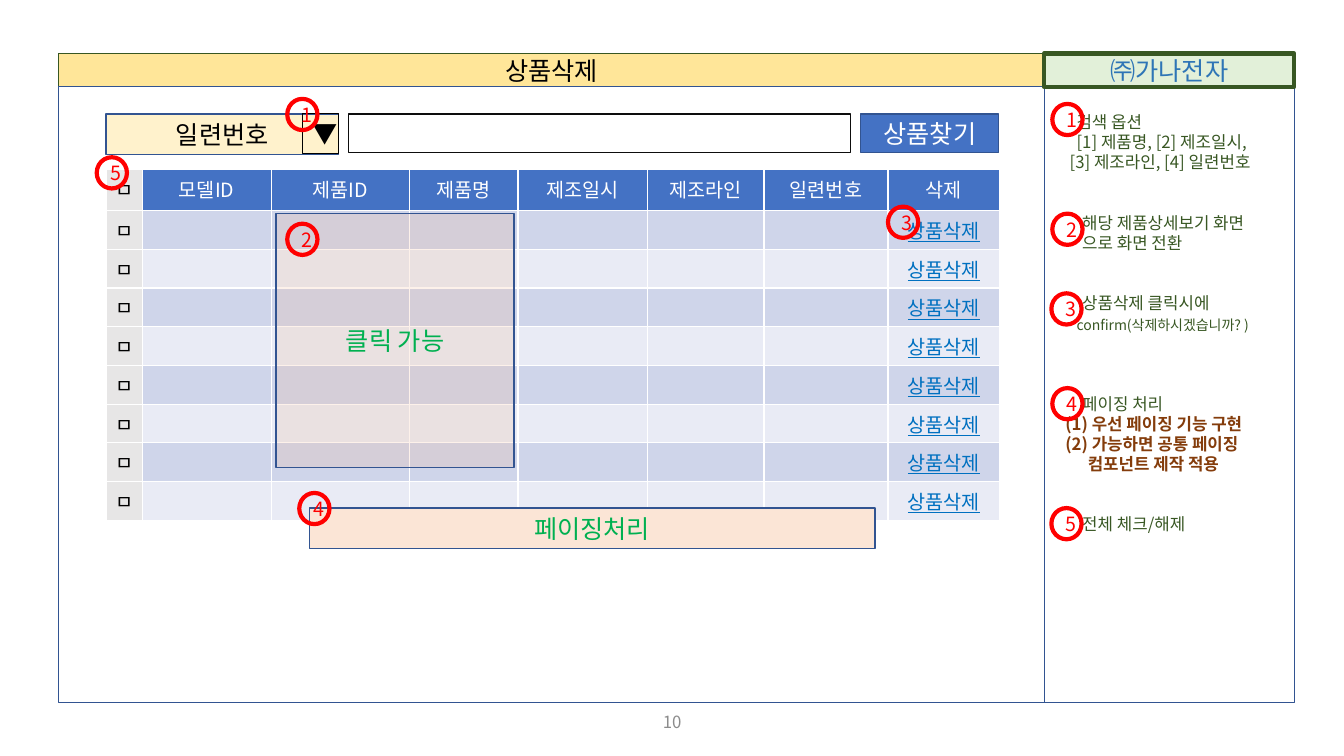
from dataclasses import dataclass
from typing import Optional

from lxml import etree
from pptx import Presentation
from pptx.dml.color import RGBColor
from pptx.enum import shapes, text
from pptx.oxml import ns
from pptx.util import Pt

FONT = "Noto Sans CJK KR"
BLACK = RGBColor(0x00, 0x00, 0x00)
WHITE = RGBColor(0xFF, 0xFF, 0xFF)
INK = RGBColor(0x0D, 0x0D, 0x0D)
GREY = RGBColor(0x8C, 0x8C, 0x8C)
RED = RGBColor(0xFF, 0x00, 0x00)
NAVY = RGBColor(0x32, 0x54, 0x91)
BLUE = RGBColor(0x44, 0x72, 0xC4)
SKY = RGBColor(0x2E, 0x75, 0xB6)
LINK = RGBColor(0x00, 0x70, 0xC0)
GREEN = RGBColor(0x00, 0xB0, 0x50)
FOREST = RGBColor(0x38, 0x57, 0x23)
BROWN = RGBColor(0x84, 0x3C, 0x0B)
GOLD = RGBColor(0xFF, 0xE6, 0x99)
CREAM = RGBColor(0xFF, 0xF2, 0xCC)
MINT = RGBColor(0xE2, 0xF0, 0xD9)
PEACH = RGBColor(0xFB, 0xE5, 0xD6)
ORANGE = RGBColor(0xF4, 0xB1, 0x83)
CHECK_GREY = RGBColor(0xE7, 0xE6, 0xE6)
BANDS = (RGBColor(0xCF, 0xD5, 0xEA), RGBColor(0xE9, 0xEB, 0xF5))


@dataclass
class Panel:
    left: float
    top: float
    width: float
    height: float
    label: str = ""
    color: RGBColor = BLACK
    fill: Optional[RGBColor] = None
    line: RGBColor = NAVY
    weight: float = 1
    opacity: int = 100
    kind: shapes.MSO_SHAPE = shapes.MSO_SHAPE.RECTANGLE
    size: float = 18
    inset_left: float = 0


@dataclass
class Note:
    label: str
    indent: float
    lines_before: int = 0
    size: float = 12
    color: RGBColor = FOREST
    bold: bool = False


def add_span(para, label: str, size: float, color: RGBColor, bold: bool = False,
             underline: bool = False) -> None:
    span = para.add_run()
    span.text = label
    span.font.name = FONT
    span.font.size = Pt(size)
    span.font.bold = bold
    span.font.underline = underline
    span.font.color.rgb = color
    east_asian = etree.SubElement(span.font._element, ns.qn("a:ea"))
    east_asian.set("typeface", FONT)


def format_box(box, panel: Panel) -> None:
    box.left, box.top = Pt(panel.left), Pt(panel.top)
    box.width, box.height = Pt(panel.width), Pt(panel.height)
    if panel.fill is None:
        box.fill.background()
    else:
        box.fill.solid()
        box.fill.fore_color.rgb = panel.fill
        if panel.opacity < 100:
            tint = box._element.spPr.find(".//" + ns.qn("a:srgbClr"))
            etree.SubElement(tint, ns.qn("a:alpha")).set("val", str(panel.opacity * 1000))
    box.line.color.rgb = panel.line
    box.line.width = Pt(panel.weight)
    frame = box.text_frame
    frame.auto_size = text.MSO_AUTO_SIZE.NONE
    frame.word_wrap = True
    frame.vertical_anchor = text.MSO_ANCHOR.MIDDLE
    frame.margin_left = Pt(panel.inset_left)
    frame.margin_right = frame.margin_top = frame.margin_bottom = 0
    if panel.label:
        para = frame.paragraphs[0]
        para.alignment = text.PP_ALIGN.CENTER
        add_span(para, panel.label, panel.size, panel.color)


def add_panel(page, panel: Panel):
    box = page.shapes.add_shape(panel.kind, 0, 0, 0, 0)
    box.shadow.inherit = False
    format_box(box, panel)
    return box


def add_marker(page, label: str, left: float, top: float) -> None:
    add_panel(page, Panel(left, top, 21.6, 22.3, label, RED, None, RED, 3,
                          kind=shapes.MSO_SHAPE.OVAL, size=14, inset_left=6))


def add_notes_column(page, panel: Panel, notes: list[Note]) -> None:
    pitch = 14.36
    frame = add_panel(page, panel).text_frame
    frame.vertical_anchor = text.MSO_ANCHOR.TOP
    frame.margin_left, frame.margin_top = Pt(7.2), Pt(18)
    for index, note in enumerate(notes):
        para = frame.add_paragraph() if index else frame.paragraphs[0]
        para.alignment = text.PP_ALIGN.LEFT
        para.line_spacing = Pt(pitch)
        para.space_before = Pt(pitch * note.lines_before)
        para._p.get_or_add_pPr().set("marL", str(Pt(note.indent)))
        add_span(para, note.label, note.size, note.color, note.bold)


def fill_cell(cell, label: str, color: RGBColor, fill: RGBColor, underline: bool) -> None:
    cell.fill.solid()
    cell.fill.fore_color.rgb = fill
    cell.margin_left = cell.margin_right = Pt(3.6)
    para = cell.text_frame.paragraphs[0]
    para.alignment = text.PP_ALIGN.CENTER
    if label:
        add_span(para, label, 14, color, underline=underline)
    else:
        etree.SubElement(para._p, ns.qn("a:endParaRPr")).set("sz", "1400")


def add_product_table(page) -> None:
    headers = ["ㅁ", "모델ID", "제품ID", "제품명", "제조일시", "제조라인", "일련번호", "삭제"]
    widths = [25.2, 92.2, 98.6, 77.8, 92.2, 83.5, 88.6, 79.9]
    body = ["ㅁ"] + [""] * 6 + ["상품삭제"]
    rows = [headers] + [body] * 8
    table = page.shapes.add_table(len(rows), len(headers), Pt(76.3), Pt(121),
                                  Pt(sum(widths)), Pt(250)).table
    for column, width in zip(table.columns, widths):
        column.width = Pt(width)
    for r, labels in enumerate(rows):
        table.rows[r].height = Pt(27.6 if r else 29.5)
        for c, label in enumerate(labels):
            if c == 0:
                color, fill = BLACK, CHECK_GREY
            elif r == 0:
                color, fill = WHITE, BLUE
            else:
                color, fill = LINK, BANDS[(r - 1) % 2]
            fill_cell(table.cell(r, c), label, color, fill, r > 0 and c > 0)


NOTES = [
    Note("검색 옵션", 16),
    Note("[1] 제품명, [2] 제조일시,", 16),
    Note("[3] 제조라인, [4] 일련번호", 11),
    Note("해당 제품상세보기 화면", 20, 2),
    Note("으로 화면 전환", 20),
    Note("상품삭제 클릭시에", 20, 2),
    Note("confirm(삭제하시겠습니까? )", 16, size=10),
    Note("페이징 처리", 20, 3),
    Note("(1) 우선 페이징 기능 구현", 8, color=BROWN, bold=True),
    Note("(2) 가능하면 공통 페이징", 8, color=BROWN, bold=True),
    Note("컴포넌트 제작 적용", 24, color=BROWN, bold=True),
    Note("전체 체크/해제", 20, 2),
]
SEARCH_BAR = [
    Panel(614.9, 81.4, 98.6, 27.4, "상품찾기", WHITE, BLUE),
    Panel(249.1, 81.4, 358.6, 27.4, line=INK),
    Panel(75.6, 81.4, 166.3, 28.8, "일련번호", fill=CREAM),
    Panel(216, 81.4, 25.9, 28.1, "▼", line=BLACK, weight=0.75, inset_left=6),
]
CALLOUTS = [
    Panel(221, 362.9, 403.9, 28.8, "페이징처리", GREEN, PEACH),
    Panel(197.3, 152.6, 169.9, 181.4, "클릭 가능", GREEN, ORANGE, opacity=17),
]
MARKERS = [
    ("1", 751.7, 74.2), ("2", 751.7, 152.6), ("3", 751, 209.5), ("4", 751.7, 277.2),
    ("5", 751, 362.9), ("1", 205.2, 70.6), ("2", 205.2, 159.8), ("3", 634.3, 147.6),
    ("4", 213.8, 352.1), ("5", 69.1, 112.3),
]


def main() -> None:
    deck = Presentation()
    deck.slide_width, deck.slide_height = Pt(960), Pt(540)
    page = deck.slides.add_slide(deck.slide_layouts[5])

    # Title bar and frames
    format_box(page.shapes.title,
               Panel(41.8, 38.2, 704.2, 23.8, "상품삭제", fill=GOLD, line=FOREST))
    add_panel(page, Panel(41.8, 61.9, 704.2, 439.9))
    add_notes_column(page, Panel(745.9, 61.9, 178.6, 439.9), NOTES)
    add_panel(page, Panel(745.9, 38.2, 178.6, 23.8, "㈜가나전자", SKY, MINT, FOREST, 3))

    # Search bar, product table and areas over it
    for panel in SEARCH_BAR:
        add_panel(page, panel)
    add_product_table(page)
    for panel in CALLOUTS:
        add_panel(page, panel)

    # Numbered markers
    for label, left, top in MARKERS:
        add_marker(page, label, left, top)

    # Page number
    number = page.shapes.add_textbox(Pt(372.2), Pt(501.1), Pt(216), Pt(28.8)).text_frame
    number.word_wrap = True
    number.vertical_anchor = text.MSO_ANCHOR.MIDDLE
    number.paragraphs[0].alignment = text.PP_ALIGN.CENTER
    add_span(number.paragraphs[0], "10", 12, GREY)

    deck.save("out.pptx")


if __name__ == "__main__":
    main()
